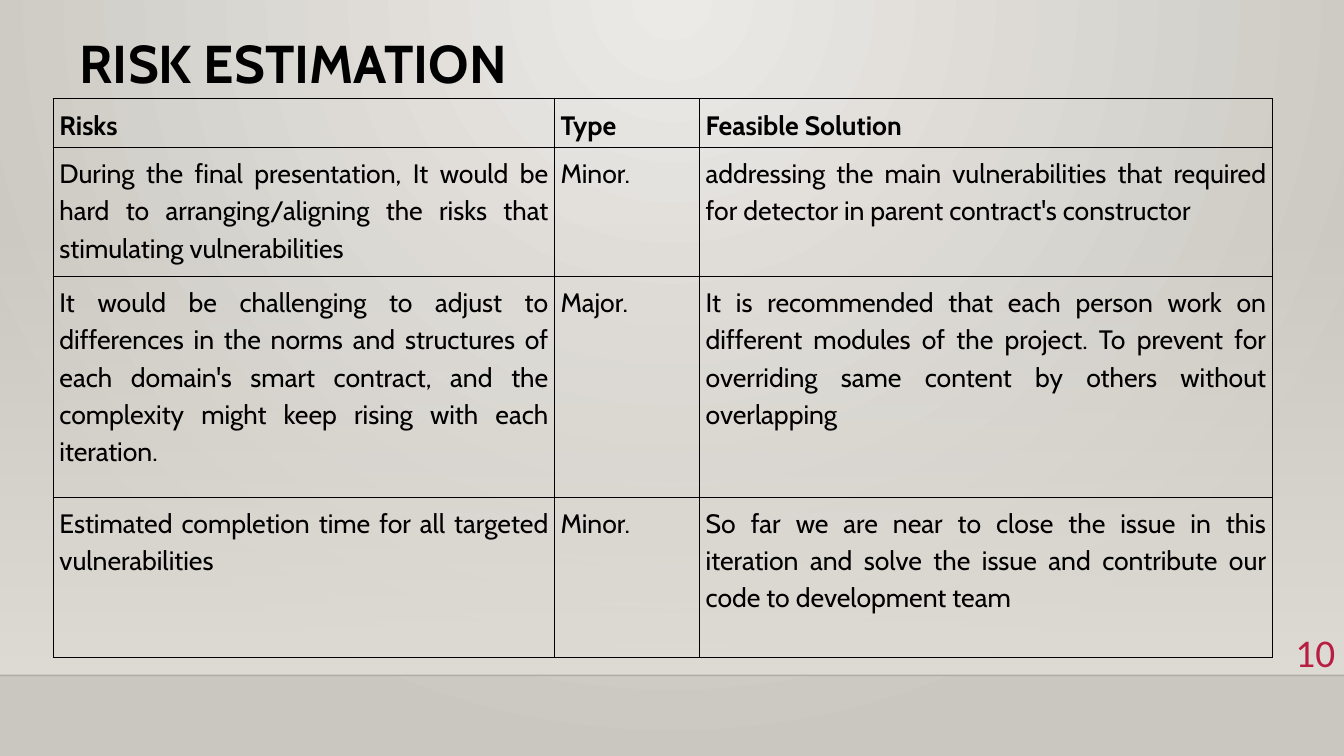
from lxml import etree
from pptx import Presentation
from pptx.dml.color import RGBColor
from pptx.enum.shapes import MSO_CONNECTOR, MSO_SHAPE
from pptx.enum.text import MSO_ANCHOR, MSO_AUTO_SIZE, PP_ALIGN
from pptx.oxml import parse_xml
from pptx.oxml.ns import nsdecls, qn
from pptx.util import Inches, Pt

TITLE = "RISK ESTIMATION"
PAGE_NUMBER = "10"
RISKS = [
    ("Risks", "Type", "Feasible Solution"),
    (
        "During the final presentation, It would be hard to arranging/aligning the risks that stimulating vulnerabilities",
        "Minor.",
        "addressing the main vulnerabilities that required for detector in parent contract's constructor",
    ),
    (
        "It would be challenging to adjust to differences in the norms and structures of each domain's smart contract, and the complexity might keep rising with each iteration.",
        "Major.",
        "It is recommended that each person work on different modules of the project. To prevent for overriding same content by others without overlapping",
    ),
    (
        "Estimated completion time for all targeted vulnerabilities",
        "Minor.",
        "So far we are near to close the issue in this iteration and solve the issue and contribute our code to development team",
    ),
]
COLUMN_WIDTHS = (4.97, 1.44, 5.68)
ROW_HEIGHTS = (0.43, 1.28, 2.19, 1.59)
COLORS = {
    "text": "000000",
    "number": "B71E42",
    "light": "ECEAE7",
    "dark": "CAC7C1",
    "band": "DFDBD5",
}
SLIDE_WIDTH = 13.33
FLOOR = 6.7
BAND_TOP = 2.21
CELL_MARGIN = Inches(0.06)
FAINT = 20


def write_text(frame, text, font="Cabin", size=19, color="text", bold=False,
               align=PP_ALIGN.LEFT, spacing=1.0):
    paragraph = frame.paragraphs[0]
    paragraph.alignment = align
    paragraph.line_spacing = spacing
    run = paragraph.add_run()
    run.text = text
    run.font.name = font
    run.font.size = Pt(size)
    run.font.bold = bold
    run.font.color.rgb = RGBColor.from_string(COLORS[color])


def color_xml(color, alpha):
    return f'<a:srgbClr val="{COLORS[color]}"><a:alpha val="{alpha * 1000}"/></a:srgbClr>'


def set_gradient(element, stops, direction):
    stop_xml = "".join(
        f'<a:gs pos="{position * 1000}">{color_xml(color, alpha)}</a:gs>'
        for position, color, alpha in stops
    )
    gradient = next(element.iter(qn("a:gradFill")))
    gradient.getparent().replace(gradient, parse_xml(
        f'<a:gradFill {nsdecls("a")} rotWithShape="1"><a:gsLst>{stop_xml}</a:gsLst>{direction}</a:gradFill>'
    ))


def set_borders(cell, alphas):
    properties = cell._tc.get_or_add_tcPr()
    for index, (side, alpha) in enumerate(alphas.items()):
        properties.insert(index, parse_xml(
            f'<a:{side} {nsdecls("a")} w="{Pt(1)}"><a:solidFill>{color_xml("text", alpha)}</a:solidFill></a:{side}>'
        ))


def add_backdrop(slide):
    slide.background.fill.gradient()
    set_gradient(
        slide.element,
        [(0, "light", 100), (100, "dark", 100)],
        '<a:path path="circle"><a:fillToRect l="43000" t="0" r="43000" b="100000"/></a:path>',
    )
    band = slide.shapes.add_shape(
        MSO_SHAPE.RECTANGLE, 0, Inches(BAND_TOP), Inches(SLIDE_WIDTH), Inches(FLOOR - BAND_TOP)
    )
    band.shadow.inherit = False
    band.line.fill.background()
    band.fill.gradient()
    set_gradient(
        band.element,
        [(0, "band", 0), (100, "band", 100)],
        '<a:lin ang="5400000" scaled="0"/>',
    )
    floor_line = slide.shapes.add_connector(
        MSO_CONNECTOR.STRAIGHT, 0, Inches(FLOOR), Inches(SLIDE_WIDTH), Inches(FLOOR)
    )
    floor_line.line.width = Pt(1)
    floor_line.line.color.rgb = RGBColor.from_string(COLORS["text"])
    line_color = next(floor_line.element.spPr.iter(qn("a:srgbClr")))
    etree.SubElement(line_color, qn("a:alpha"), val=str(FAINT * 1000))
    etree.SubElement(floor_line.element.spPr, qn("a:effectLst"))


def add_title(slide):
    title = slide.shapes.title
    title.left, title.top, title.width, title.height = map(Inches, (0.69, 0.32, 10.29, 0.8))
    title.text_frame.auto_size = MSO_AUTO_SIZE.NONE
    title.text_frame.vertical_anchor = MSO_ANCHOR.TOP
    write_text(title.text_frame, TITLE, size=38, bold=True, spacing=0.9)


def add_page_number(slide):
    box = slide.shapes.add_textbox(*map(Inches, (12.45, 6.19, 0.89, 0.55)))
    box.text_frame.word_wrap = True
    box.text_frame.vertical_anchor = MSO_ANCHOR.MIDDLE
    write_text(box.text_frame, PAGE_NUMBER, font="Calibri", size=28, color="number",
               align=PP_ALIGN.RIGHT)


def add_risk_table(slide):
    row_count, column_count = len(RISKS), len(COLUMN_WIDTHS)
    table = slide.shapes.add_table(
        row_count, column_count, Inches(0.53), Inches(0.98),
        Inches(sum(COLUMN_WIDTHS)), Inches(sum(ROW_HEIGHTS)),
    ).table
    table.first_row = table.horz_banding = False
    for column, width in zip(table.columns, COLUMN_WIDTHS):
        column.width = Inches(width)
    for row_index, (height, texts) in enumerate(zip(ROW_HEIGHTS, RISKS)):
        table.rows[row_index].height = Inches(height)
        for column_index, text in enumerate(texts):
            cell = table.cell(row_index, column_index)
            cell.fill.background()
            cell.margin_left = cell.margin_right = CELL_MARGIN
            cell.margin_top = cell.margin_bottom = CELL_MARGIN
            write_text(cell.text_frame, text, bold=row_index == 0,
                       align=PP_ALIGN.JUSTIFY, spacing=1.15)
            outer_sides = {
                "lnL": column_index == 0,
                "lnR": column_index == column_count - 1,
                "lnT": row_index == 0,
                "lnB": row_index == row_count - 1,
            }
            set_borders(cell, {side: FAINT if outer else 100 for side, outer in outer_sides.items()})


def main():
    presentation = Presentation()
    presentation.slide_width = Inches(SLIDE_WIDTH)
    presentation.slide_height = Inches(7.5)
    slide = presentation.slides.add_slide(presentation.slide_layouts[5])
    add_backdrop(slide)
    add_title(slide)
    add_page_number(slide)
    add_risk_table(slide)
    presentation.save("out.pptx")


if __name__ == "__main__":
    main()
